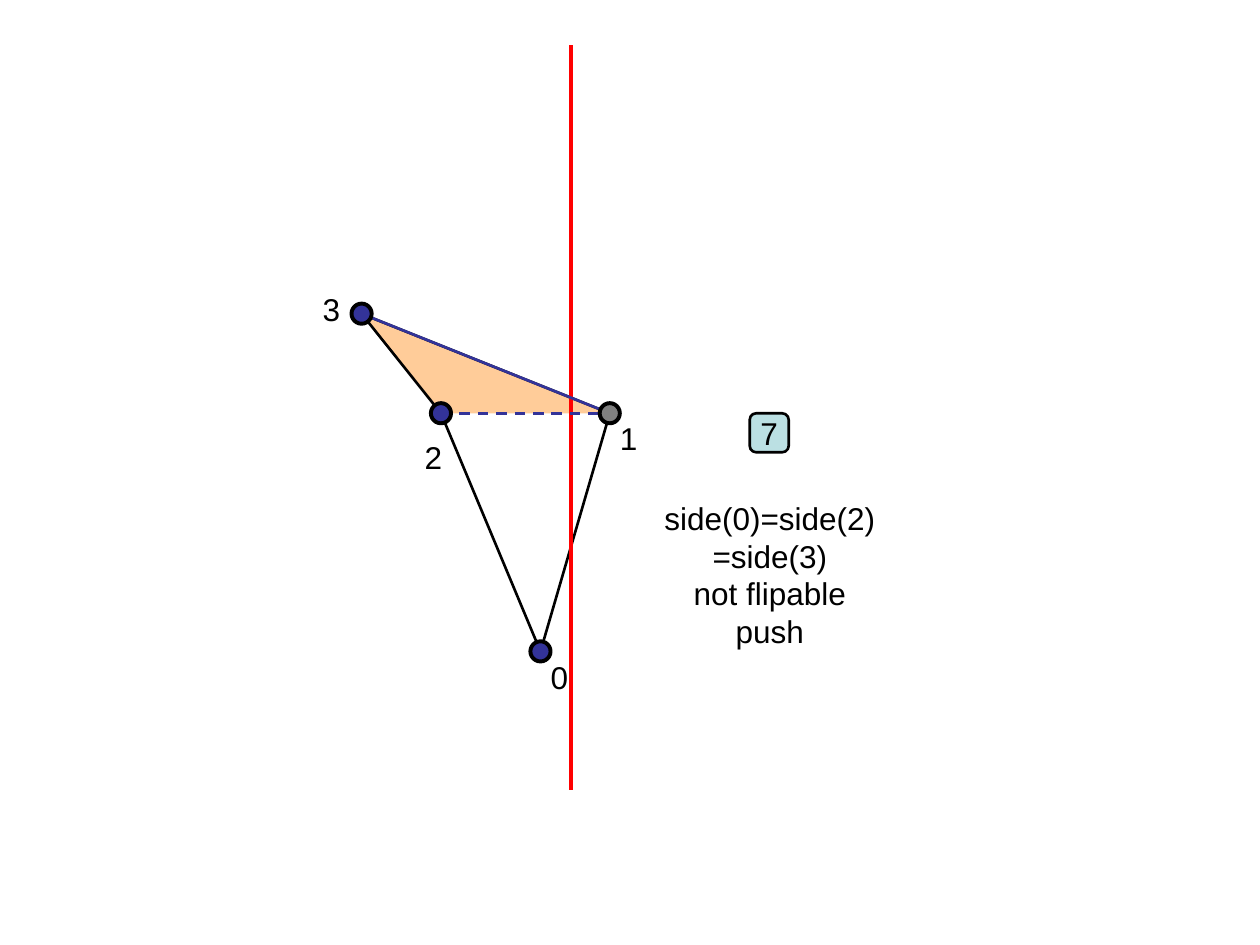
"""Build a slide showing a push case for a triangle pair cut by a line."""
from lxml import etree
from pptx import Presentation, util as u
from pptx.dml.color import RGBColor
from pptx.enum import dml, shapes, text
from pptx.oxml.ns import qn

HUES = {"black": "000000", "blue": "333399", "red": "FF0000",
        "gray": "808080", "peach": "FFCC99", "teal": "BBE0E3"}
SPOTS = {"0": (4.29, 5.17), "1": (4.84, 3.28), "2": (3.5, 3.28), "3": (2.87, 2.49)}
SIZE = 0.16


def paint(shape, fill, line, width=1.5):
    shape.shadow.inherit = False
    for part, hue in ((shape.fill, fill), (shape.line.fill, line)):
        if hue:
            part.solid()
            part.fore_color.rgb = RGBColor.from_string(HUES[hue])
        else:
            part.background()
    if line:
        shape.line.width = u.Pt(width)


def write(shape, paras):
    frame = shape.text_frame
    frame.word_wrap = False
    for i, rows in enumerate(paras):
        para = frame.paragraphs[0] if i == 0 else frame.add_paragraph()
        para.alignment = text.PP_ALIGN.CENTER
        for j, row in enumerate(rows):
            if j:
                para.add_line_break()
            run = para.add_run()
            run.text = row
            run.font.name = "Arial"
            run.font.size = u.Pt(18)
            run.font.color.rgb = RGBColor.from_string(HUES["black"])


deck = Presentation()
deck.slide_width, deck.slide_height = u.Inches(10), u.Inches(7.5)
slide = deck.slides.add_slide(deck.slide_layouts[6])
tree = slide.shapes

for keys, fill, line in (("231", "peach", None), ("0132", None, "black")):
    points = [(u.Inches(x), u.Inches(y)) for x, y in (SPOTS[key] for key in keys)]
    path = tree.build_freeform(*points[0])
    path.add_line_segments(points[1:], close=True)
    paint(path.convert_to_shape(), fill, line)

for start, end, hue, width, dash in (
    ((4.53, 0.36), (4.53, 6.27), "red", 2.25, False),
    (SPOTS["2"], SPOTS["1"], "blue", 1.5, True),
    (SPOTS["3"], SPOTS["1"], "blue", 1.5, False),
):
    edge = tree.add_connector(shapes.MSO_CONNECTOR.STRAIGHT,
                              *(u.Inches(n) for n in start + end))
    edge.line.color.rgb = RGBColor.from_string(HUES[hue])
    edge.line.width = u.Pt(width)
    if dash:
        edge.line.dash_style = dml.MSO_LINE.DASH
    etree.SubElement(edge._element.spPr, qn("a:effectLst"))

for key, (x, y) in SPOTS.items():
    dot = tree.add_shape(shapes.MSO_SHAPE.OVAL, u.Inches(x - SIZE / 2),
                         u.Inches(y - SIZE / 2), u.Inches(SIZE), u.Inches(SIZE))
    paint(dot, "gray" if key == "1" else "blue", "black", 2.25)

for x, y, wide, high, paras in (
    (4.27, 5.17, 0.34, 0.4, [["0"]]),
    (4.82, 3.28, 0.34, 0.4, [["1"]]),
    (3.27, 3.43, 0.34, 0.4, [["2"]]),
    (2.46, 2.25, 0.34, 0.4, [["3"]]),
    (5.15, 3.91, 1.92, 1.3, [["side(0)=side(2)", "=side(3)", "not flipable"], ["push"]]),
):
    box = tree.add_textbox(u.Inches(x), u.Inches(y), u.Inches(wide), u.Inches(high))
    write(box, paras)
    box.text_frame.auto_size = text.MSO_AUTO_SIZE.SHAPE_TO_FIT_TEXT

badge = tree.add_shape(shapes.MSO_SHAPE.ROUNDED_RECTANGLE, u.Inches(5.95),
                       u.Inches(3.28), u.Inches(0.31), u.Inches(0.31))
paint(badge, "teal", "black")
write(badge, [["7"]])
badge.text_frame.vertical_anchor = text.MSO_ANCHOR.MIDDLE

deck.save("out.pptx")
